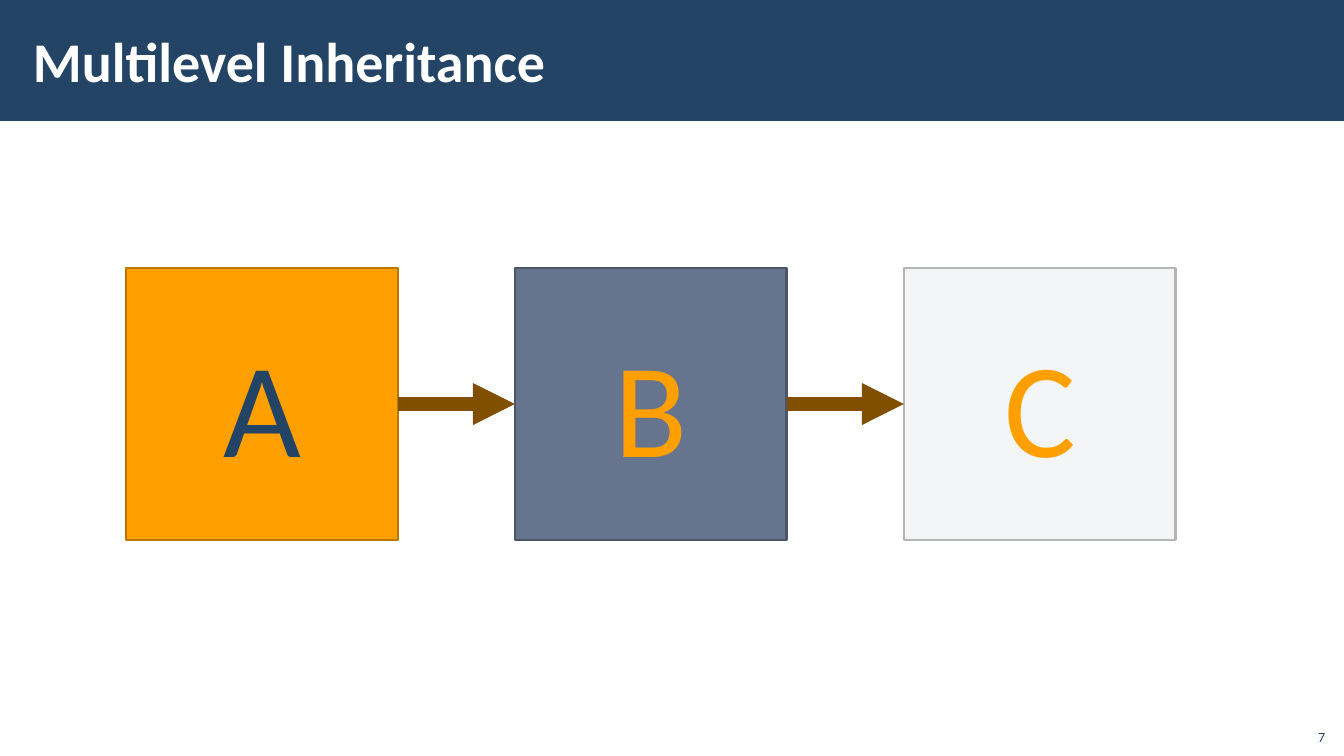
from pptx import Presentation
from pptx.dml.color import RGBColor
from pptx.enum.shapes import MSO_CONNECTOR as Connector, MSO_SHAPE as Shape
from pptx.enum.text import MSO_ANCHOR as Anchor, PP_ALIGN as Align
from pptx.oxml.ns import qn
from pptx.util import Pt
from lxml.etree import SubElement

NAVY = RGBColor(0x23, 0x44, 0x65)
WHITE = RGBColor(0xFF, 0xFF, 0xFF)
ORANGE = RGBColor(0xFF, 0xA0, 0x00)
DARK_ORANGE = RGBColor(0xBD, 0x76, 0x00)
SLATE = RGBColor(0x67, 0x74, 0x8E)
DARK_SLATE = RGBColor(0x4C, 0x56, 0x69)
PALE = RGBColor(0xF4, 0xF5, 0xF7)
GREY = RGBColor(0xB5, 0xB5, 0xB7)
BROWN = RGBColor(0x80, 0x50, 0x00)

TITLE = "Multilevel Inheritance"
PAGE = "7"
CLASSES = [
    ("A", ORANGE, DARK_ORANGE, NAVY),
    ("B", SLATE, DARK_SLATE, ORANGE),
    ("C", PALE, GREY, ORANGE),
]

SLIDE_W, SLIDE_H = 1344, 756
BANNER_H = 121
TITLE_AREA = (21, 11, 1072, 98)
PAGE_AREA = (1295, 718, 40, 32)
CLASS_LEFT, CLASS_TOP, CLASS_SIZE, CLASS_STEP = 126, 268, 272, 389
TITLE_FRAME = {"margin_left": 12, "margin_right": 12, "margin_top": 4, "margin_bottom": 4}


def px(length):
    return round(length * 914400 / 100.8)


def write(holder, text, size, color, align, anchor, bold=False, margins={}):
    frame = holder.text_frame
    frame.word_wrap = True
    frame.vertical_anchor = anchor
    for name, length in margins.items():
        setattr(frame, name, px(length))
    paragraph = frame.paragraphs[0]
    paragraph.alignment = align
    run = paragraph.add_run()
    run.text = text
    for name, value in {"name": "Calibri", "size": Pt(size), "bold": bold}.items():
        setattr(run.font, name, value)
    run.font.color.rgb = color


def add_box(shapes, area, fill, outline=None):
    box = shapes.add_shape(Shape.RECTANGLE, *map(px, area))
    box.shadow.inherit = False
    box.fill.solid()
    box.fill.fore_color.rgb = fill
    if outline is None:
        box.line.fill.background()
    else:
        box.line.color.rgb = outline
        box.line.width = Pt(2)
    return box


def add_arrow(shapes, parent, child):
    arrow = shapes.add_connector(Connector.STRAIGHT, 0, 0, 0, 0)
    arrow.begin_connect(parent, 3)
    arrow.end_connect(child, 1)
    arrow.line.color.rgb = BROWN
    arrow.line.width = Pt(10)
    SubElement(arrow.line._get_or_add_ln(), qn("a:tailEnd"), type="triangle")
    SubElement(arrow._element.spPr, qn("a:effectLst"))


def main():
    deck = Presentation()
    deck.slide_width, deck.slide_height = px(SLIDE_W), px(SLIDE_H)
    shapes = deck.slides.add_slide(deck.slide_layouts[6]).shapes

    add_box(shapes, (0, 0, SLIDE_W, BANNER_H), NAVY)
    title = shapes.add_textbox(*map(px, TITLE_AREA))
    write(title, TITLE, 40, WHITE, Align.LEFT, Anchor.MIDDLE, True, TITLE_FRAME)

    boxes = []
    for index, (letter, fill, outline, color) in enumerate(CLASSES):
        left = CLASS_LEFT + index * CLASS_STEP
        box = add_box(shapes, (left, CLASS_TOP, CLASS_SIZE, CLASS_SIZE), fill, outline)
        write(box, letter, 96, color, Align.CENTER, Anchor.MIDDLE)
        boxes.append(box)
    for parent, child in zip(boxes, boxes[1:]):
        add_arrow(shapes, parent, child)

    page = shapes.add_textbox(*map(px, PAGE_AREA))
    write(page, PAGE, 10, NAVY, Align.RIGHT, Anchor.BOTTOM)
    deck.save("out.pptx")


if __name__ == "__main__":
    main()
